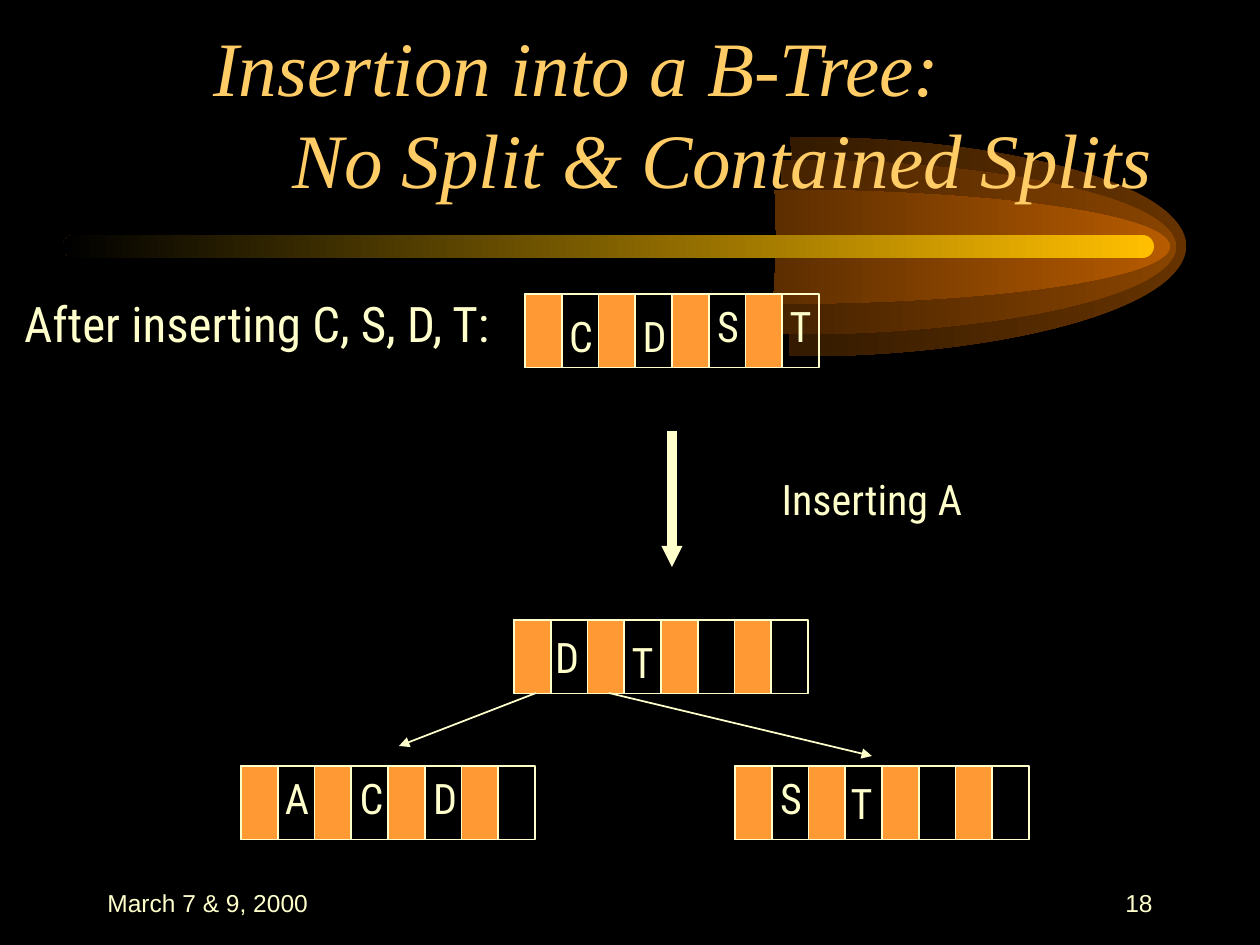
from lxml import etree
from pptx import Presentation
from pptx.dml.color import RGBColor
from pptx.enum.shapes import MSO_CONNECTOR, MSO_SHAPE
from pptx.enum.text import MSO_ANCHOR, PP_ALIGN
from pptx.oxml.ns import qn
from pptx.util import Pt

SCALE = 914400 / 126
RECT = MSO_SHAPE.RECTANGLE
ROUND = MSO_SHAPE.ROUNDED_RECTANGLE
STRAIGHT = MSO_CONNECTOR.STRAIGHT
TOP, MIDDLE, BOTTOM = MSO_ANCHOR.TOP, MSO_ANCHOR.MIDDLE, MSO_ANCHOR.BOTTOM
LEFT, CENTER, RIGHT = PP_ALIGN.LEFT, PP_ALIGN.CENTER, PP_ALIGN.RIGHT

BLACK = RGBColor(0x00, 0x00, 0x00)
CREAM = RGBColor(0xFF, 0xFF, 0xCC)
ORANGE = RGBColor(0xFF, 0x99, 0x33)
PEACH = RGBColor(0xFF, 0xCC, 0x66)
GOLD = RGBColor(0xFF, 0xBF, 0x00)
GLOWS = [
    (398, 137, 789, 220, RGBColor(0x66, 0x33, 0x00)),
    (388, 160, 789, 175, RGBColor(0x89, 0x44, 0x00)),
    (382, 190, 789, 114, RGBColor(0xB7, 0x5B, 0x00)),
]
ARC = [
    ("moveTo", [(0.498, 0)]),
    ("cubicBezTo", [(0.677, -0.003), (0.843, 0.095), (0.933, 0.248)]),
    ("cubicBezTo", [(1.022, 0.402), (1.021, 0.594), (0.931, 0.748)]),
    ("cubicBezTo", [(0.841, 0.902), (0.675, 1), (0.496, 0.997)]),
    ("lnTo", [(0.5, 0.5)]),
    ("close", []),
]

BODY, SERIF, SANS = "Roboto Condensed", "Times New Roman", "Arial"
NODE_W, SLOTS = 294, 4
STEP = NODE_W / SLOTS


def px(*sizes):
    return [round(size * SCALE) for size in sizes]


class Deck:
    def __init__(self):
        self.prs = Presentation()
        self.prs.slide_width, self.prs.slide_height = px(1260, 945)
        self.slide = self.prs.slides.add_slide(self.prs.slide_layouts[6])
        self.shapes = self.slide.shapes
        back = self.slide.background.fill
        back.solid()
        back.fore_color.rgb = BLACK

    def fade(self, shape, color):
        shape.shadow.inherit = False
        shape.line.fill.background()
        shape.fill.gradient()
        shape.fill.gradient_angle = 180
        for stop, tone in zip(shape.fill.gradient_stops, (color, BLACK)):
            stop.color.rgb = tone

    def glow(self, x, y, w, h, color):
        pen = self.shapes.build_freeform(x, y, SCALE)
        pen.add_line_segments([(x + w, y), (x + w, y + h)])
        shape = pen.convert_to_shape()
        wide, high = shape.width, shape.height
        path = shape._element.find(".//" + qn("a:path"))
        for child in list(path):
            path.remove(child)
        for kind, spots in ARC:
            step = etree.SubElement(path, qn("a:" + kind))
            for across, down in spots:
                spot = etree.SubElement(step, qn("a:pt"))
                spot.set("x", str(round(across * wide)))
                spot.set("y", str(round(down * high)))
        path.set("w", str(wide))
        path.set("h", str(high))
        self.fade(shape, color)

    def bar(self, x, y, w, h, color):
        shape = self.shapes.add_shape(ROUND, *px(x, y, w, h))
        shape.adjustments[0] = 0.5
        self.fade(shape, color)

    def box(self, x, y, w, h, fill=None):
        shape = self.shapes.add_shape(RECT, *px(x, y, w, h))
        shape.shadow.inherit = False
        shape.line.color.rgb = CREAM
        shape.line.width = Pt(1)
        if fill is None:
            shape.fill.background()
        else:
            shape.fill.solid()
            shape.fill.fore_color.rgb = fill

    def text(self, x, y, w, h, lines, size=24, font=BODY, color=CREAM,
             align=CENTER, anchor=TOP, wrap=False, slant=False):
        frame = self.shapes.add_textbox(*px(x, y, w, h)).text_frame
        frame.word_wrap = wrap
        frame.vertical_anchor = anchor
        frame.text = lines
        for para in frame.paragraphs:
            para.alignment = align
            para.font.size = Pt(size)
            para.font.name = font
            para.font.color.rgb = color
            para.font.italic = slant
        return frame

    def node(self, x, y, keys):
        self.box(x, y, NODE_W, STEP)
        for i in range(SLOTS):
            self.box(x + i * STEP, y, STEP / 2, STEP, ORANGE)
        for i, (key, shift, drop) in enumerate(keys):
            mid = x + (i + 0.75) * STEP + shift
            self.text(mid - 26, y + drop, 52, 63, key)

    def arrow(self, x1, y1, x2, y2, width=1, head="med"):
        link = self.shapes.add_connector(STRAIGHT, *px(x1, y1, x2, y2))
        link.line.color.rgb = CREAM
        link.line.width = Pt(width)
        tail = etree.SubElement(link.line._get_or_add_ln(), qn("a:tailEnd"))
        for name, value in (("type", "triangle"), ("w", head), ("len", head)):
            tail.set(name, value)
        etree.SubElement(link._element.spPr, qn("a:effectLst"))


def main():
    deck = Deck()
    for glow in GLOWS:
        deck.glow(*glow)
    deck.bar(63, 235, 1091, 23, GOLD)

    title = deck.text(
        94, 53, 1072, 157,
        "Insertion into a B-Tree:\nNo Split & Contained Splits",
        44, SERIF, PEACH, RIGHT, BOTTOM, True, True)
    first = title.paragraphs[0]
    first.alignment = LEFT
    first._p.get_or_add_pPr().set("marL", str(px(107)[0]))

    deck.text(-33, 287, 591, 72, "After inserting C, S, D, T: ", 28)
    deck.node(525, 294,
              [("C", 1, 10), ("D", 1, 10), ("S", 1, 0), ("T", 0, 0)])
    deck.arrow(672, 431, 672, 567, 6, "sm")
    deck.text(751, 467, 242, 63, "Inserting A")

    deck.node(735, 766, [("S", 1, 0), ("T", -2, 5)])
    deck.node(241, 766, [("A", 1, 0), ("C", 2, 0), ("D", 2, 0)])
    deck.node(514, 620, [("D", -2, 5), ("T", 0, 10)])
    deck.arrow(536, 693, 399, 746)
    deck.arrow(609, 693, 872, 756)

    deck.text(903, 871, 262, 63, "18", 14, SANS, CREAM, RIGHT, MIDDLE, True)
    deck.text(95, 871, 262, 63, "March 7 & 9, 2000", 14, SANS, CREAM, LEFT,
              MIDDLE, True)
    deck.prs.save("out.pptx")


if __name__ == "__main__":
    main()
